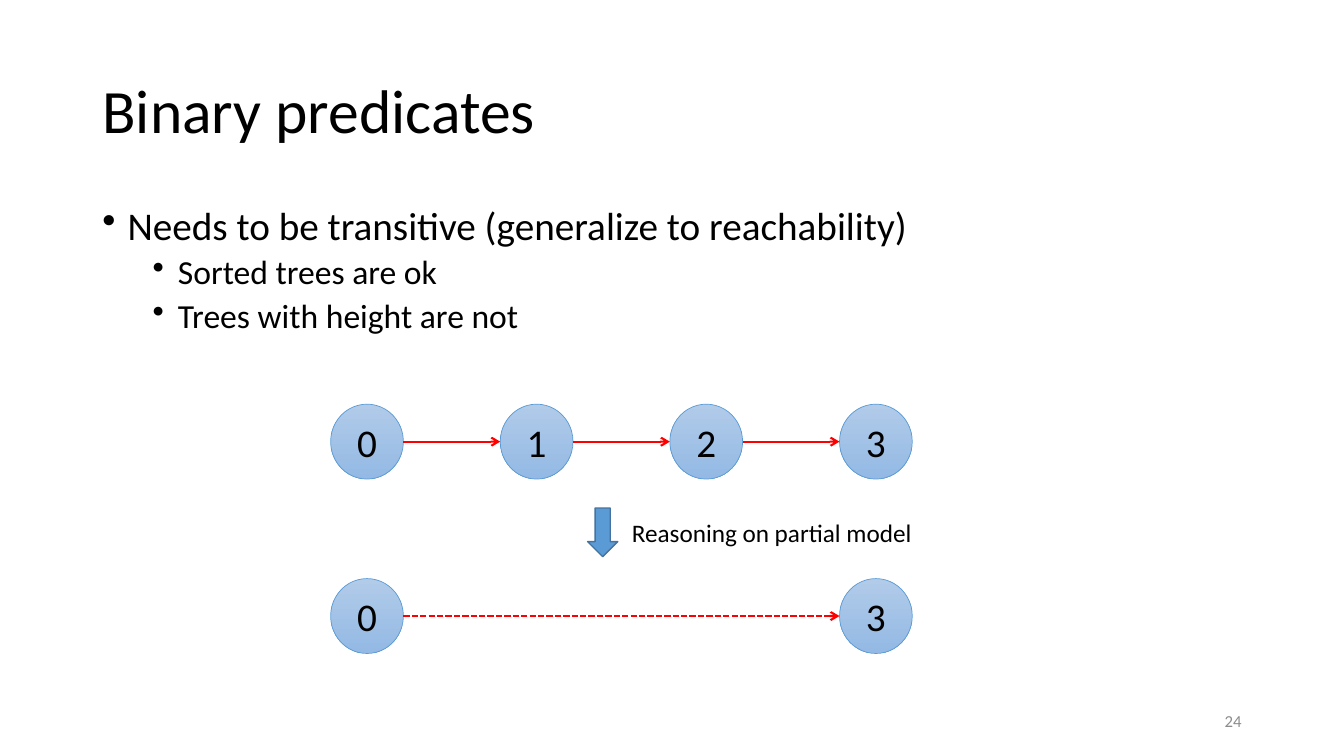
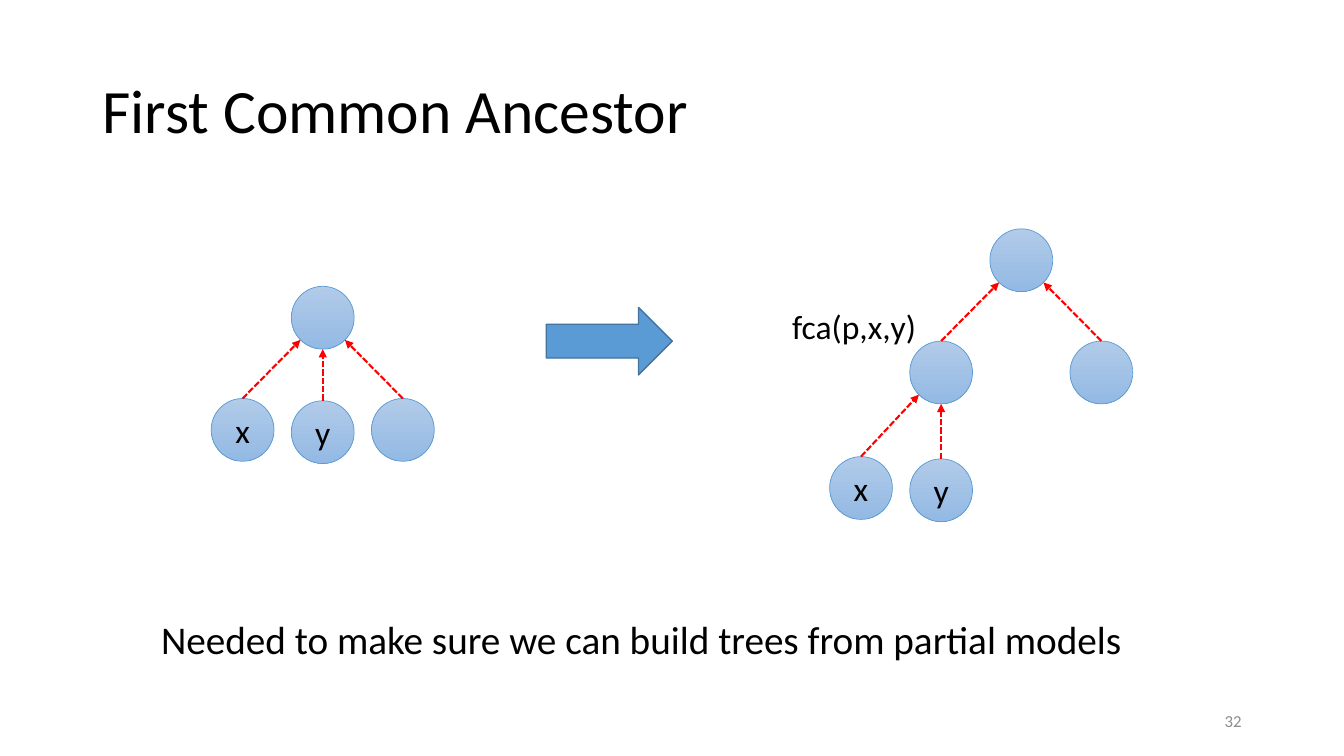
from math import sqrt
from lxml import etree
from pptx import Presentation
from pptx import util as u
from pptx.dml.color import RGBColor
from pptx.enum import dml, shapes, text
from pptx.oxml.ns import qn

WIDTH, HEIGHT = u.Inches(13.33), u.Inches(7.5)
COLS, ROWS = 80, 45  # all lengths below are columns and rows of this grid
FONT = "Calibri"
BLACK = RGBColor(0x00, 0x00, 0x00)
GREY = RGBColor(0x8C, 0x8C, 0x8C)
RED = RGBColor(0xFF, 0x00, 0x00)
BLUE = RGBColor(0x5B, 0x9B, 0xD5)
NAVY = RGBColor(0x43, 0x73, 0x9E)
LIGHT = RGBColor(0xB1, 0xCB, 0xE9)
DEEP = RGBColor(0x93, 0xB9, 0xE4)

LEFT = text.PP_ALIGN.LEFT
CENTER = text.PP_ALIGN.CENTER
RIGHT = text.PP_ALIGN.RIGHT
TOP = text.MSO_ANCHOR.TOP
MIDDLE = text.MSO_ANCHOR.MIDDLE
KIND = shapes.MSO_SHAPE

TITLE = (5.5, 2.4, 69, 8.7)
BODY = (5.5, 12, 69, 28.5)
NUMBER = (56.5, 41.7, 18, 2.4)
LEVELS = [dict(size=28, margin=0.25, before=10),
          dict(size=24, margin=0.75, before=5)]
RING = 3.74            # diameter of a tree node
STEP, FLOOR = 4.77, 6.68   # spacing of tree nodes across and down


def put(item, **values):
    for name, value in values.items():
        setattr(item, name, value)


def grid(*cells):
    """Turn alternating columns and rows into slide lengths."""
    units = (WIDTH / COLS, HEIGHT / ROWS)
    return [round(cell * units[i % 2]) for i, cell in enumerate(cells)]


def write(frame, words, size, color=BLACK, align=LEFT, anchor=TOP, wrap=True):
    put(frame, text=words, word_wrap=wrap, vertical_anchor=anchor,
        auto_size=text.MSO_AUTO_SIZE.NONE)
    para = frame.paragraphs[0]
    para.alignment = align
    style(para, size, color)
    return para


def style(para, size, color=BLACK):
    put(para.font, name=FONT, size=u.Pt(size))
    para.font.color.rgb = color


def label(slide, box, words, size, **looks):
    area = slide.shapes.add_textbox(*grid(*box))
    write(area.text_frame, words, size, **looks)


def page(deck, title, number):
    """Add a slide with its title and page number."""
    slide = deck.slides.add_slide(deck.slide_layouts[5])
    head = slide.shapes.title
    put(head, **dict(zip(("left", "top", "width", "height"), grid(*TITLE))))
    write(head.text_frame, title, 44, anchor=MIDDLE).line_spacing = 0.9
    label(slide, NUMBER, number, 12, color=GREY, align=RIGHT, anchor=MIDDLE)
    return slide


def bullets(slide, box, items):
    frame = slide.shapes.add_textbox(*grid(*box)).text_frame
    frame.word_wrap = True
    for i, (level, words) in enumerate(items):
        look = LEVELS[level]
        para = frame.add_paragraph() if i else frame.paragraphs[0]
        props = para._p.get_or_add_pPr()
        props.set("marL", str(u.Inches(look["margin"])))
        props.set("indent", str(u.Inches(-0.25)))
        etree.SubElement(props, qn("a:buChar")).set("char", "•")
        put(para, text=words, level=level, line_spacing=0.9,
            space_before=u.Pt(look["before"] if i else 0))
        style(para, look["size"])


def block(slide, kind, box):
    """Add a plain block arrow."""
    shape = slide.shapes.add_shape(kind, *grid(*box))
    shape.shadow.inherit = False
    shape.fill.solid()
    shape.fill.fore_color.rgb = BLUE
    shape.line.color.rgb = NAVY
    shape.line.width = u.Pt(1)


def node(slide, box, words, size):
    shape = slide.shapes.add_shape(KIND.OVAL, *grid(*box))
    shape.shadow.inherit = False
    shape.fill.gradient()
    shape.fill.gradient_angle = 270
    for stop, color in zip(shape.fill.gradient_stops, (LIGHT, DEEP)):
        stop.color.rgb = color
    shape.line.color.rgb = BLUE
    shape.line.width = u.Pt(0.5)
    if words:
        write(shape.text_frame, words, size, align=CENTER, anchor=MIDDLE)


def edge(slide, start, end, tip, dash):
    wire = slide.shapes.add_connector(
        shapes.MSO_CONNECTOR.STRAIGHT, *grid(*start, *end))
    wire.line.color.rgb = RED
    wire.line.width = u.Pt(1.5)
    if dash:
        wire.line.dash_style = dml.MSO_LINE.SQUARE_DOT
    etree.SubElement(wire.line._get_or_add_ln(), qn("a:tailEnd")).set("type", tip)
    etree.SubElement(wire._element.spPr, qn("a:effectLst"))


def chain(slide, box, names, dash=False):
    """Spread nodes evenly over the box and link each to the next."""
    left, top, width, height = box
    wide = 4.33
    gap = (width - wide) / (len(names) - 1)
    mid = top + height / 2
    for i, name in enumerate(names):
        x = left + i * gap
        node(slide, (x, top, wide, height), name, 28)
        if i:
            edge(slide, (x - gap + wide, mid), (x, mid), "arrow", dash)


def tree(slide, left, top, nodes):
    """Draw nodes given as name, column, row and index of the parent."""
    half = RING / 2
    spots = [(left + col * STEP + half, top + row * FLOOR + half)
             for _, col, row, _ in nodes]
    for (name, _, _, above), (x, y) in zip(nodes, spots):
        node(slide, (x - half, y - half, RING, RING), name, 24)
        if above is None:
            continue
        px, py = spots[above]
        slant = half / sqrt(2)
        if abs(px - x) < 0.01:
            end = px, py + half
        else:
            end = px + (slant if x > px else -slant), py + slant
        edge(slide, (x, y - half), end, "triangle", True)


def binary(deck):
    slide = page(deck, "Binary predicates", "24")
    bullets(slide, BODY, [
        (0, "Needs to be transitive (generalize to reachability)"),
        (1, "Sorted trees are ok"),
        (1, "Trees with height are not")])
    chain(slide, (19.68, 24.06, 34.62, 4.46), "0123")
    chain(slide, (19.68, 34.44, 34.62, 4.46), "03", dash=True)
    block(slide, KIND.DOWN_ARROW, (34.98, 30.24, 1.8, 2.9))
    label(slide, (37.02, 30.48, 18.06, 2.4), "Reasoning on partial model", 18,
          wrap=False)


def common(deck):
    slide = page(deck, "First Common Ancestor", "32")
    label(slide, (9, 36.3, 59, 3.4),
          "Needed to make sure we can build trees from partial models", 28,
          wrap=False)
    tree(slide, 17.34 - STEP, 17.04, [
        ("", 1, 0, None), ("x", 0, 1, 0), ("y", 1, 1.02, 0), ("", 2, 1, 0)])
    block(slide, KIND.RIGHT_ARROW, (32.52, 18.3, 7.5, 4.02))
    tree(slide, 49.38, 13.62, [
        ("", 2, 0, None), ("", 1, 1, 0), ("", 3, 1, 0),
        ("x", 0, 2.03, 1), ("y", 1, 2.05, 1)])
    label(slide, (46.56, 17.94, 8.7, 3), "fca(p,x,y)", 24, wrap=False)


def main():
    deck = Presentation()
    put(deck, slide_width=WIDTH, slide_height=HEIGHT)
    binary(deck)
    common(deck)
    deck.save("out.pptx")


if __name__ == "__main__":
    main()
